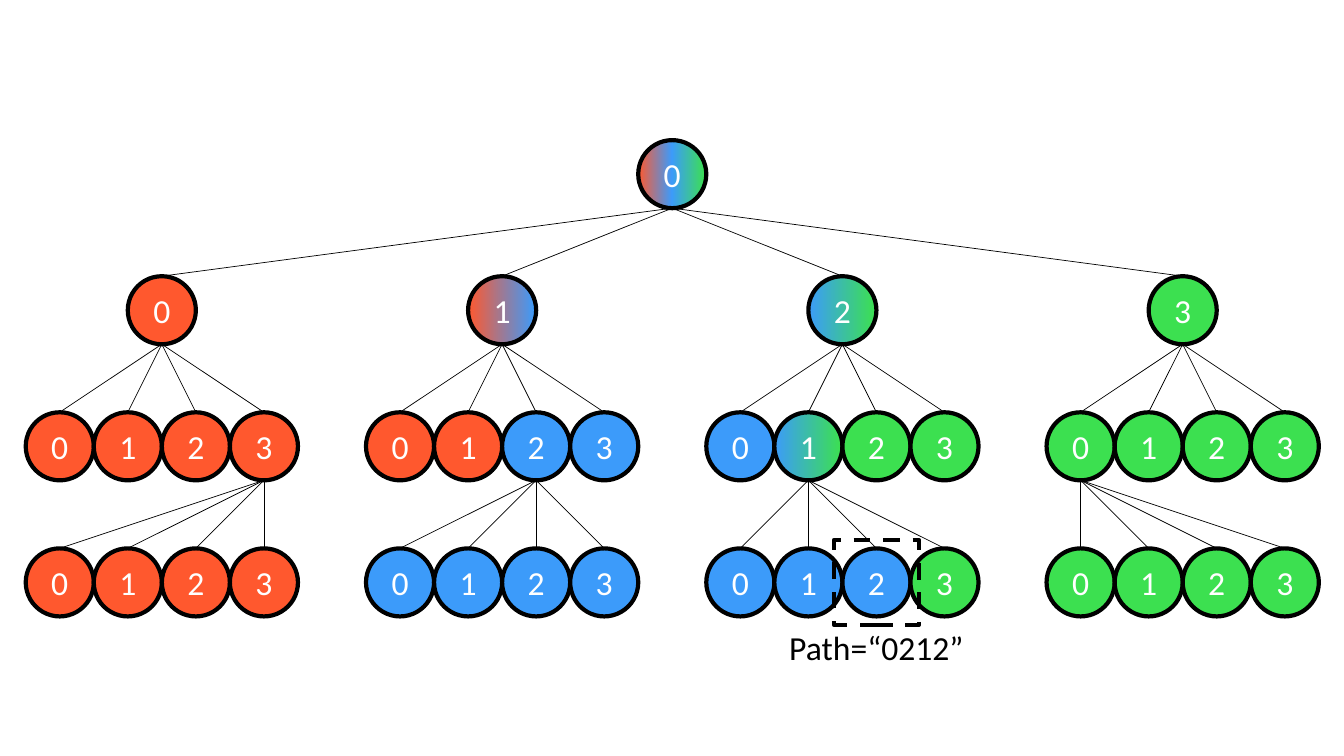
from dataclasses import dataclass

from lxml import etree
from pptx import Presentation
from pptx import util as u
from pptx.dml.color import RGBColor
from pptx.enum import dml, shapes, text
from pptx.oxml.ns import qn
from pptx.shapes.autoshape import Shape
from pptx.slide import Slide


@dataclass(frozen=True)
class Theme:
    red: str = "FF582E"
    blue: str = "3C9BFA"
    green: str = "3CE050"
    black: str = "000000"
    white: str = "FFFFFF"
    font: str = "Calibri"
    text_size: float = 24
    outline: float = 3
    branch: float = 0.5


@dataclass(frozen=True)
class Grid:
    """Square cells, each as large as one node."""
    left: float = 0.255
    top: float = 1.39
    cell: float = 0.675

    def x(self, column: float) -> int:
        return u.Inches(self.left + column * self.cell)

    def y(self, row: float) -> int:
        return u.Inches(self.top + row * self.cell)

    def size(self, cells: float) -> int:
        return u.Inches(cells * self.cell)


@dataclass(frozen=True)
class Family:
    """A second-level node, its children, and the children of one of those."""
    color: tuple[str, ...]
    children: tuple[tuple[str, ...], ...]
    opened: int
    grandchildren: tuple[tuple[str, ...], ...]


THEME = Theme()
GRID = Grid()
RED, BLUE, GREEN = (THEME.red,), (THEME.blue,), (THEME.green,)
FAMILIES = (
    Family(RED, (RED,) * 4, 3, (RED,) * 4),
    Family(RED + BLUE, (RED, RED, BLUE, BLUE), 2, (BLUE,) * 4),
    Family(BLUE + GREEN, (BLUE, BLUE + GREEN, GREEN, GREEN), 1,
           (BLUE, BLUE, BLUE, GREEN)),
    Family(GREEN, (GREEN,) * 4, 0, (GREEN,) * 4),
)
FAMILY_STEP = 5
LEVEL_STEP = 2
LAST_STOP = 99000


def paint(shape: Shape, colors: tuple[str, ...]) -> None:
    """Fill with one colour, or blend several from left to right."""
    if len(colors) == 1:
        shape.fill.solid()
        shape.fill.fore_color.rgb = RGBColor.from_string(colors[0])
        return
    shape.fill.gradient()
    shape.fill.gradient_angle = 0
    stops = shape._element.spPr.find(qn("a:gradFill")).find(qn("a:gsLst"))
    for stop in list(stops):
        stops.remove(stop)
    for index, color in enumerate(colors):
        position = LAST_STOP * index // (len(colors) - 1)
        stop = etree.SubElement(stops, qn("a:gs"), pos=str(position))
        etree.SubElement(stop, qn("a:srgbClr"), val=color)


def write(shape: Shape, words: str, color: str) -> None:
    frame = shape.text_frame
    frame.text = words
    frame.word_wrap = False
    paragraph = frame.paragraphs[0]
    paragraph.alignment = text.PP_ALIGN.CENTER
    font = paragraph.runs[0].font
    font.name = THEME.font
    font.size = u.Pt(THEME.text_size)
    font.color.rgb = RGBColor.from_string(color)


def outline(shape: Shape) -> None:
    shape.shadow.inherit = False
    shape.line.color.rgb = RGBColor.from_string(THEME.black)
    shape.line.width = u.Pt(THEME.outline)


def add_node(slide: Slide, column: float, level: int, digit: int,
             colors: tuple[str, ...]) -> Shape:
    node = slide.shapes.add_shape(
        shapes.MSO_SHAPE.OVAL, GRID.x(column), GRID.y(level * LEVEL_STEP),
        GRID.size(1), GRID.size(1))
    outline(node)
    paint(node, colors)
    write(node, str(digit), THEME.white)
    node.text_frame.vertical_anchor = text.MSO_ANCHOR.MIDDLE
    return node


def add_row(slide: Slide, column: float, level: int,
            colors: tuple[tuple[str, ...], ...]) -> list[Shape]:
    return [add_node(slide, column + digit, level, digit, color)
            for digit, color in enumerate(colors)]


def add_branches(slide: Slide, parent: Shape, children: list[Shape]) -> None:
    x, y = parent.left + parent.width // 2, parent.top + parent.height
    for child in children:
        branch = slide.shapes.add_connector(
            shapes.MSO_CONNECTOR.STRAIGHT, x, y,
            child.left + child.width // 2, child.top)
        branch.end_connect(child, 0)
        branch.line.color.rgb = RGBColor.from_string(THEME.black)
        branch.line.width = u.Pt(THEME.branch)
        etree.SubElement(branch._element.spPr, qn("a:effectLst"))


def add_tree(slide: Slide) -> None:
    root = add_node(slide, 9, 0, 0, RED + BLUE + GREEN)
    links: list[tuple[Shape, list[Shape]]] = []
    heads: list[Shape] = []
    for digit, family in enumerate(FAMILIES):
        column = digit * FAMILY_STEP
        head = add_node(slide, column + 1.5, 1, digit, family.color)
        leaves = add_row(slide, column, 3, family.grandchildren)
        children = add_row(slide, column, 2, family.children)
        heads.append(head)
        links += [(head, children), (children[family.opened], leaves)]
    for parent, children in [(root, heads), *links]:
        add_branches(slide, parent, children)


def add_path_mark(slide: Slide, column: float, row: float) -> None:
    """Frame the node in this cell and name its path below."""
    side, margin = 1.25, 0.125
    frame = slide.shapes.add_shape(
        shapes.MSO_SHAPE.RECTANGLE, GRID.x(column - margin),
        GRID.y(row - margin), GRID.size(side), GRID.size(side))
    outline(frame)
    frame.fill.background()
    frame.line.dash_style = dml.MSO_LINE.DASH
    width = 2.88
    label = slide.shapes.add_textbox(
        GRID.x(column + 0.5 - width / 2), GRID.y(row + 1.08),
        GRID.size(width), GRID.size(0.75))
    write(label, "Path=“0212”", THEME.black)
    label.text_frame.auto_size = text.MSO_AUTO_SIZE.SHAPE_TO_FIT_TEXT


def main() -> None:
    presentation = Presentation()
    presentation.slide_width = u.Inches(13.33)
    presentation.slide_height = u.Inches(7.5)
    slide = presentation.slides.add_slide(presentation.slide_layouts[6])
    add_tree(slide)
    add_path_mark(slide, 2 * FAMILY_STEP + 2, 3 * LEVEL_STEP)
    presentation.save("out.pptx")


if __name__ == "__main__":
    main()
